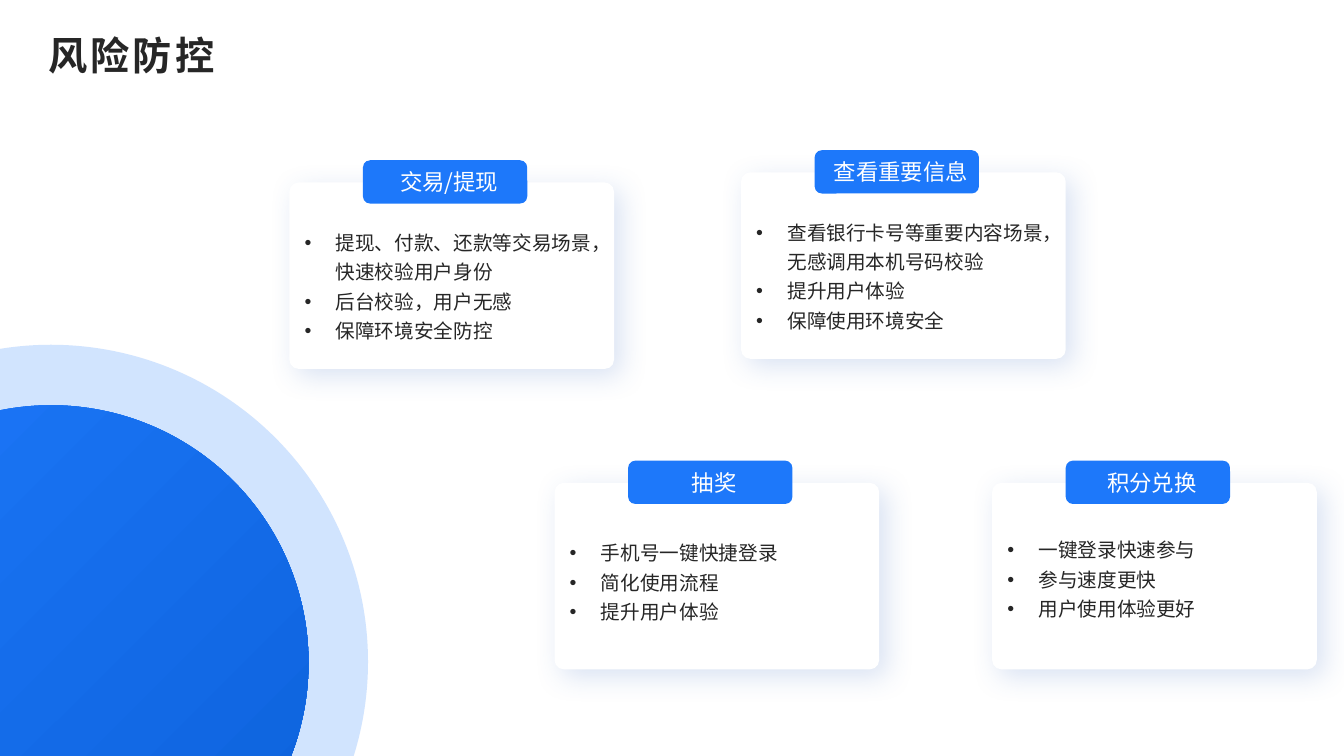
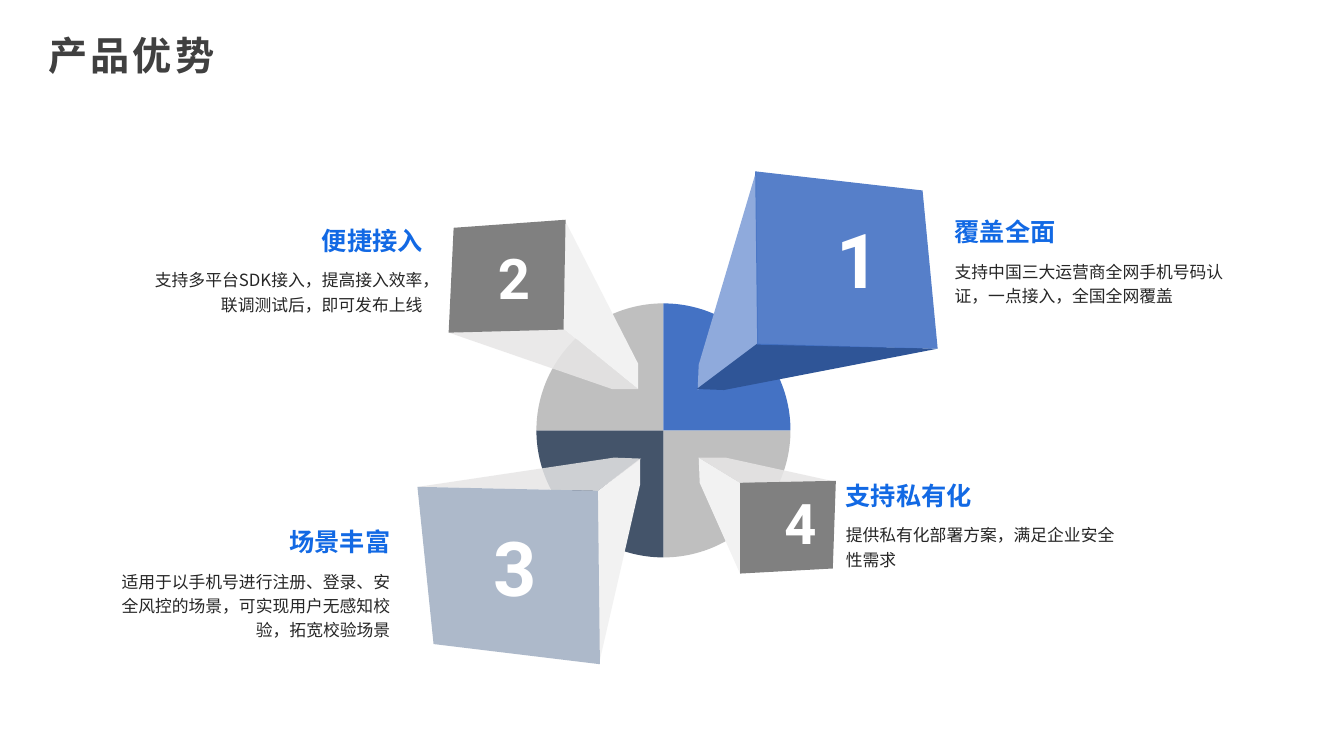
"""Build two slides on risk control and product strengths."""
from dataclasses import dataclass
from typing import NamedTuple

from lxml import etree
from pptx import Presentation
from pptx import util as u
from pptx.dml.color import RGBColor
from pptx.enum import shapes, text
from pptx.oxml import ns

PX = 9144
KIND = shapes.MSO_SHAPE
SIDE = text.PP_ALIGN
MID = text.MSO_ANCHOR.MIDDLE
TOP = text.MSO_ANCHOR.TOP


@dataclass(frozen=True)
class Theme:
    sans: str = "Noto Sans CJK SC"
    num: str = "Roboto"
    ink: str = "262626"
    soft: str = "404040"
    white: str = "FFFFFF"
    blue: str = "1D78FA"
    deep: str = "0C61DA"
    head: str = "1269E4"
    royal: str = "4472C4"
    sky: str = "8FAADC"
    navy: str = "2F5597"
    slate: str = "44546A"
    steel: str = "ADB9CA"
    gray: str = "808080"
    ash: str = "BFBFBF"
    pale: str = "F2F2F2"
    mist: str = "E7E6E6"
    title: int = 28
    label: int = 16
    item: int = 14
    name: int = 18
    note: int = 12
    big: int = 54
    small: int = 40


T = Theme()


class Box(NamedTuple):
    x: int
    y: int
    w: int
    h: int


class Card(NamedTuple):
    x: int
    y: int
    drop: int
    label: str
    items: list[str]


class Face(NamedTuple):
    color: str
    alpha: int
    pts: list[tuple[int, int]]


class Block(NamedTuple):
    faces: list[Face]
    digit: str
    box: Box
    size: int


class Note(NamedTuple):
    x: int
    y: int
    side: SIDE
    name: str
    body: str


CARDS = [
    Card(287, 181, 37, "交易/提现",
         ["提现、付款、还款等交易场景，快速校验用户身份", "后台校验，用户无感", "保障环境安全防控"]),
    Card(550, 479, 47, "抽奖", ["手机号一键快捷登录", "简化使用流程", "提升用户体验"]),
    Card(984, 479, 44, "积分兑换", ["一键登录快速参与", "参与速度更快", "用户使用体验更好"]),
    Card(735, 171, 37, "查看重要信息",
         ["查看银行卡号等重要内容场景，无感调用本机号码校验", "提升用户体验", "保障使用环境安全"]),
]

BLOCKS = [
    Block([Face(T.sky, 100, [(750, 170), (693, 362), (692, 387), (752, 341)]),
           Face(T.navy, 100, [(751, 341), (691, 386), (718, 387), (930, 346)]),
           Face(T.royal, 90, [(749, 170), (751, 342), (930, 346), (915, 189)])],
          "1", Box(820, 206, 62, 101), T.big),
    Block([Face(T.mist, 85, [(445, 330), (607, 386), (633, 386), (559, 326)]),
           Face(T.pale, 100, [(559, 326), (633, 386), (633, 361), (560, 218)]),
           Face(T.gray, 100, [(450, 226), (445, 330), (559, 327), (561, 218)])],
          "2", Box(484, 237, 51, 77), T.small),
    Block([Face(T.pale, 100, [(594, 659), (635, 480), (635, 455), (593, 487)]),
           Face(T.mist, 85, [(593, 487), (636, 455), (609, 454), (415, 483)]),
           Face(T.steel, 100, [(414, 483), (430, 639), (595, 659), (593, 487)])],
          "3", Box(480, 512, 62, 101), T.big),
    Block([Face(T.pale, 100, [(734, 479), (693, 454), (694, 479), (734, 569)]),
           Face(T.mist, 85, [(829, 478), (720, 454), (693, 454), (734, 479)]),
           Face(T.gray, 100, [(734, 479), (734, 569), (826, 564), (829, 477)])],
          "4", Box(768, 480, 51, 77), T.small),
]

NOTES = [
    Note(140, 217, SIDE.RIGHT, "便捷接入", "支持多平台SDK接入，提高接入效率，联调测试后，即可发布上线"),
    Note(108, 516, SIDE.RIGHT, "场景丰富",
         "适用于以手机号进行注册、登录、安全风控的场景，可实现用户无感知校验，拓宽校验场景"),
    Note(829, 470, SIDE.LEFT, "支持私有化", "提供私有化部署方案，满足企业安全性需求"),
    Note(937, 209, SIDE.LEFT, "覆盖全面", "支持中国三大运营商全网手机号码认证，一点接入，全国全网覆盖"),
]


def emu(box: Box) -> list[int]:
    """Turn a box in px into EMU."""
    return [v * PX for v in box]


def add(node, tag: str, **attrs):
    """Append a drawing element to a node."""
    return etree.SubElement(node, ns.qn(tag), {k: str(v) for k, v in attrs.items()})


def write(frame, lines: list[str], *, size: int, color: str, font: str = T.sans,
          bold: bool = False, side: SIDE = SIDE.LEFT, lead: float = 1.0,
          track: int = 0, dot: bool = False, anchor=TOP) -> None:
    """Fill a text frame with formatted paragraphs."""
    frame.word_wrap = True
    frame.auto_size = text.MSO_AUTO_SIZE.NONE
    frame.vertical_anchor = anchor
    for i, line in enumerate(lines):
        para = frame.add_paragraph() if i else frame.paragraphs[0]
        props = para._p.get_or_add_pPr()
        if dot:
            props.set("marL", str(31 * PX))
            props.set("indent", str(-31 * PX))
            add(props, "a:buFont", typeface="Arial")
            add(props, "a:buChar", char="•")
        para.alignment = side
        para.line_spacing = lead
        para.space_before = u.Pt(0)
        run = para.add_run()
        run.text = line
        run.font.size = u.Pt(size)
        run.font.bold = bold
        run.font.color.rgb = RGBColor.from_string(color)
        run.font.name = font
        mark = run._r.get_or_add_rPr()
        add(mark, "a:ea", typeface=font)
        if track:
            mark.set("spc", str(track))


def paint(shape, color: str, alpha: int = 100) -> None:
    """Give a shape a plain fill with no line or shadow."""
    shape.shadow.inherit = False
    shape.line.fill.background()
    shape.fill.solid()
    shape.fill.fore_color.rgb = RGBColor.from_string(color)
    if alpha < 100:
        tint = shape._element.spPr.find(".//" + ns.qn("a:srgbClr"))
        add(tint, "a:alpha", val=alpha * 1000)


def draw(slide, kind: KIND, box: Box, color: str, alpha: int = 100):
    """Add a painted preset shape."""
    shape = slide.shapes.add_shape(kind, *emu(box))
    paint(shape, color, alpha)
    return shape


def place(holder, box: Box) -> None:
    """Move a shape to a box."""
    holder.left, holder.top, holder.width, holder.height = emu(box)


def label(slide, box: Box, line: str, **form) -> None:
    """Add a text box."""
    write(slide.shapes.add_textbox(*emu(box)).text_frame, [line], **form)


def start(deck, plan: int, title: str, color: str):
    """Add a slide with its title."""
    slide = deck.slides.add_slide(deck.slide_layouts[plan])
    place(slide.shapes.title, Box(38, 24, 726, 66))
    write(slide.shapes.title.text_frame, [title], size=T.title, color=color,
          bold=True, lead=0.9, track=220, anchor=MID)
    return slide


def glow(shape) -> None:
    """Give a shape a soft blue shadow."""
    fx = shape._element.spPr.find(ns.qn("a:effectLst"))
    cast = add(fx, "a:outerShdw", blurRad=u.Pt(20), dist=u.Pt(7),
               dir=45 * 60000, algn="tl", rotWithShape=0)
    add(add(cast, "a:srgbClr", val=T.royal), "a:alpha", val=20000)


def panel(slide, card: Card, holder) -> None:
    """Draw a card with its tag and list."""
    base = draw(slide, KIND.ROUNDED_RECTANGLE, Box(card.x, card.y, 322, 185), T.white)
    base.adjustments[0] = 0.05
    glow(base)
    tag = draw(slide, KIND.ROUNDED_RECTANGLE,
               Box(card.x + 73, card.y - 22, 163, 43), T.blue)
    tag.text_frame.margin_left = 8 * PX
    tag.text_frame.margin_right = 0
    write(tag.text_frame, [card.label], size=T.label, color=T.white,
          side=SIDE.CENTER, anchor=MID)
    place(holder, Box(card.x + 5, card.y + card.drop, 313, 126))
    write(holder.text_frame, card.items, size=T.item, color=T.ink, lead=1.25, dot=True)
    slide.shapes._spTree.append(holder._element)


def risks(deck) -> None:
    """Build the risk control slide."""
    slide = start(deck, 4, "风险防控", T.ink)
    lists = [h for h in slide.placeholders if h.placeholder_format.idx]
    for card, holder in zip(CARDS, lists):
        panel(slide, card, holder)
    draw(slide, KIND.OVAL, Box(-264, 342, 629, 629), T.blue, 20)
    disc = draw(slide, KIND.OVAL, Box(-205, 402, 511, 511), T.blue)
    disc.fill.gradient()
    disc.fill.gradient_angle = 315
    for stop, color in zip(disc.fill.gradient_stops, (T.blue, T.deep)):
        stop.color.rgb = RGBColor.from_string(color)


def solid(slide, block: Block) -> None:
    """Draw a numbered block in perspective."""
    for face in block.faces:
        path = slide.shapes.build_freeform(*face.pts[0], scale=PX)
        path.add_line_segments(face.pts[1:], close=True)
        paint(path.convert_to_shape(), face.color, face.alpha)
    label(slide, block.box, block.digit, size=block.size, color=T.white,
          font=T.num, bold=True)


def gains(deck) -> None:
    """Build the product strengths slide."""
    slide = start(deck, 5, "产品优势", T.soft)
    for turn, color in enumerate((T.ash, T.slate, T.ash, T.royal)):
        part = draw(slide, KIND.PIE, Box(532, 301, 252, 252), color)
        part.adjustments[0] = turn * 54
        part.adjustments[1] = (turn + 1) % 4 * 54
    for block in BLOCKS:
        solid(slide, block)
    for note in NOTES:
        label(slide, Box(note.x, note.y, 289, 42), note.name, size=T.name,
              color=T.head, bold=True, side=note.side, anchor=MID)
        label(slide, Box(note.x, note.y + 42, 289, 58), note.body, size=T.note,
              color=T.ink, side=note.side, lead=1.2)


def main() -> None:
    """Build and save the deck."""
    deck = Presentation()
    deck.slide_width, deck.slide_height = 1333 * PX, 750 * PX
    risks(deck)
    gains(deck)
    deck.save("out.pptx")


if __name__ == "__main__":
    main()
